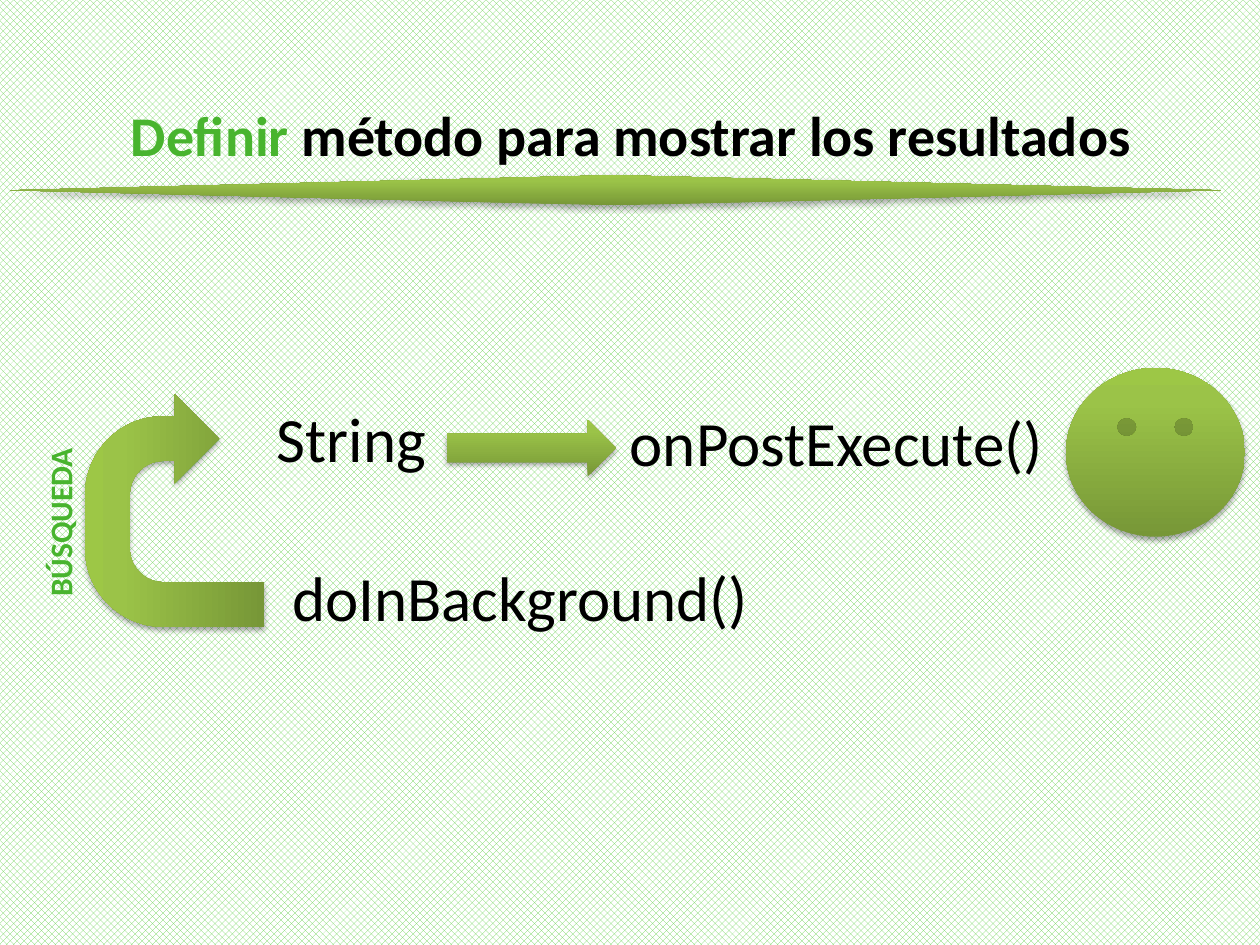
from copy import deepcopy

from lxml.etree import SubElement
from pptx import Presentation
from pptx.dml.color import RGBColor
from pptx.enum.dml import MSO_PATTERN
from pptx.enum.shapes import MSO_SHAPE
from pptx.enum.text import MSO_ANCHOR, MSO_AUTO_SIZE, PP_ALIGN
from pptx.oxml.ns import qn
from pptx.util import Inches, Pt

COLORS = {
    "accent": "48B42E",
    "text": "000000",
    "dark": "779737",
    "middle": "9BC348",
    "light": "9DC746",
    "pattern": "70D458",
    "paper": "FFFFFF",
}
COLUMNS, ROWS = 100, 75
CELL = Inches(0.1)
STOPS = [(0, "dark"), (0.8, "middle"), (1, "light")]
TITLE = {"size": Pt(32), "bold": True}
METHOD = {"size": Pt(36), "bold": False}
LABEL = {"size": Pt(18), "bold": True}


def rgb(name):
    return RGBColor.from_string(COLORS[name])


def place(box):
    return [round(length * CELL) for length in box]


def inside(box, left, top, width, height):
    return box[0] + left, box[1] + top, width, height


def add_text(page, box, spans, style, rotation=0, frame_format=None, align=None):
    shape = page.shapes.add_textbox(*place(box))
    shape.rotation = rotation
    frame = shape.text_frame
    settings = {"word_wrap": True, "auto_size": MSO_AUTO_SIZE.SHAPE_TO_FIT_TEXT}
    for name, value in (settings | (frame_format or {})).items():
        setattr(frame, name, value)
    para = frame.paragraphs[0]
    para.alignment = align
    for text, color in spans:
        span = para.add_run()
        span.text = text
        for name, value in ({"name": "Calibri"} | style).items():
            setattr(span.font, name, value)
        span.font.color.rgb = rgb(color)


def add_shadow(shape):
    shape.shadow.inherit = False
    effects = shape._element.spPr.find(qn("a:effectLst"))
    shadow = SubElement(effects, qn("a:outerShdw"), blurRad=str(Pt(3.1)),
                        dist=str(Pt(1.8)), dir="5400000", rotWithShape="0")
    color = SubElement(shadow, qn("a:srgbClr"), val=COLORS["text"])
    SubElement(color, qn("a:alpha"), val="35000")


def add_glossy(page, kind, box, rotation=0):
    shape = page.shapes.add_shape(kind, *place(box))
    shape.rotation = rotation
    shape.line.fill.background()
    shape.fill.gradient()
    shape.fill.gradient_angle = 90
    stop_list = shape._element.spPr.find(qn("a:gradFill")).find(qn("a:gsLst"))
    stop_list.append(deepcopy(stop_list[0]))
    for stop, (position, color) in zip(shape.fill.gradient_stops, STOPS):
        stop.position = position
        stop.color.rgb = rgb(color)
    add_shadow(shape)


def paint_background(page):
    fill = page.background.fill
    fill.patterned()
    fill.pattern = MSO_PATTERN.OUTLINED_DIAMOND
    fill.fore_color.rgb = rgb("pattern")
    fill.back_color.rgb = rgb("paper")


def add_header(page, box):
    add_text(page, inside(box, 4.3, 0, 90, 9.5),
             [("Definir ", "accent"), ("método para mostrar los resultados", "text")],
             TITLE, align=PP_ALIGN.CENTER,
             frame_format={"vertical_anchor": MSO_ANCHOR.MIDDLE,
                           "auto_size": MSO_AUTO_SIZE.NONE})
    add_glossy(page, MSO_SHAPE.FLOWCHART_DECISION, inside(box, 0, 8, box[2], 2.4))


def add_search(page, box):
    add_glossy(page, MSO_SHAPE.U_TURN_ARROW, inside(box, 3.6, 4.2, 18.5, 14.2), 270)
    add_text(page, inside(box, 21.2, 14.6, 42.5, 7.1),
             [("doInBackground()", "text")], METHOD)
    add_text(page, inside(box, -4.1, 9.3, 15.7, 4), [("BÚSQUEDA", "accent")], LABEL, 270)


def add_result(page, box):
    add_text(page, inside(box, 0, 2, 14.6, 7.1), [("String", "text")], METHOD)
    add_glossy(page, MSO_SHAPE.RIGHT_ARROW, inside(box, 14.5, 4.1, 13.4, 4.5))
    add_text(page, inside(box, 28, 2.3, 35.7, 7.1), [("onPostExecute()", "text")], METHOD)
    add_glossy(page, MSO_SHAPE.SMILEY_FACE, inside(box, 63.6, 0, 14.2, box[3]))


def main():
    deck = Presentation()
    deck.slide_width, deck.slide_height = COLUMNS * CELL, ROWS * CELL
    page = deck.slides.add_slide(deck.slide_layouts[6])
    paint_background(page)
    add_header(page, (0.8, 5.9, 96.1, 10.4))
    add_search(page, (1, 29.2, 63.7, 21.7))
    add_result(page, (21, 29.2, 77.8, 13.4))
    deck.save("out.pptx")


if __name__ == "__main__":
    main()
